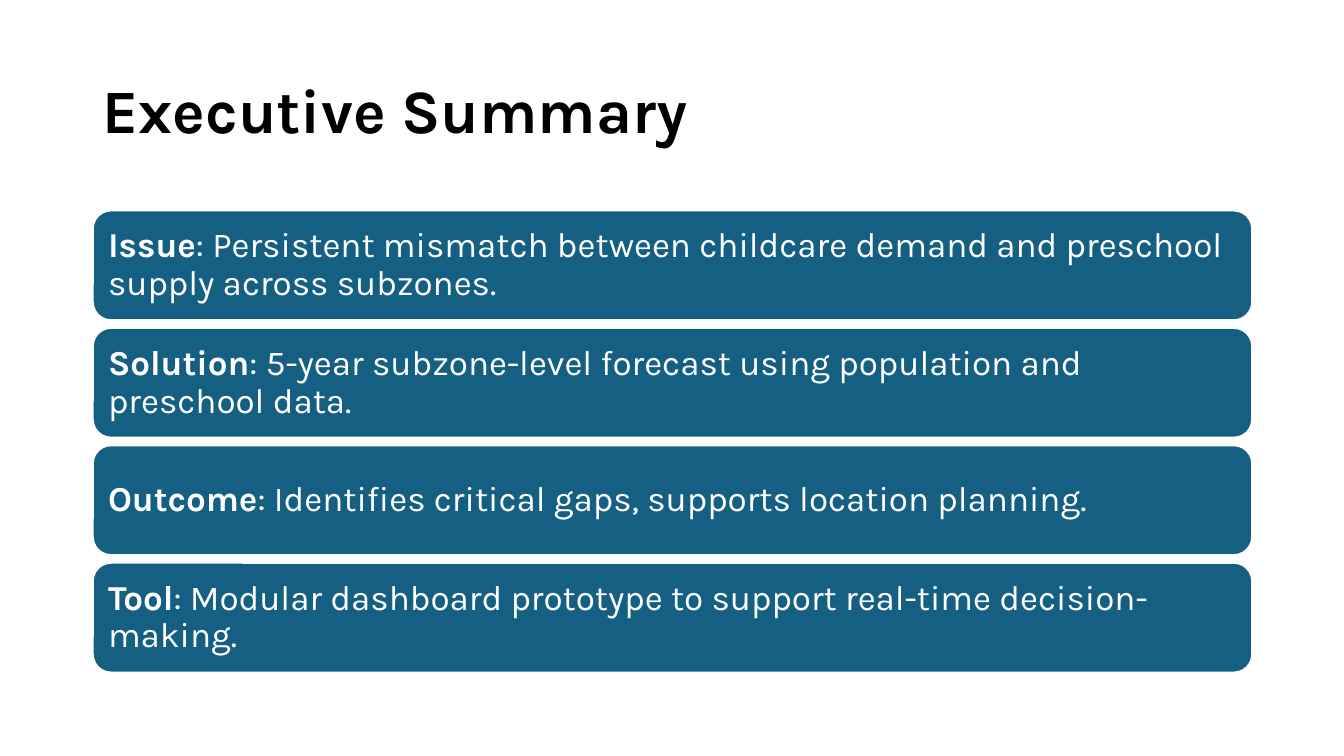
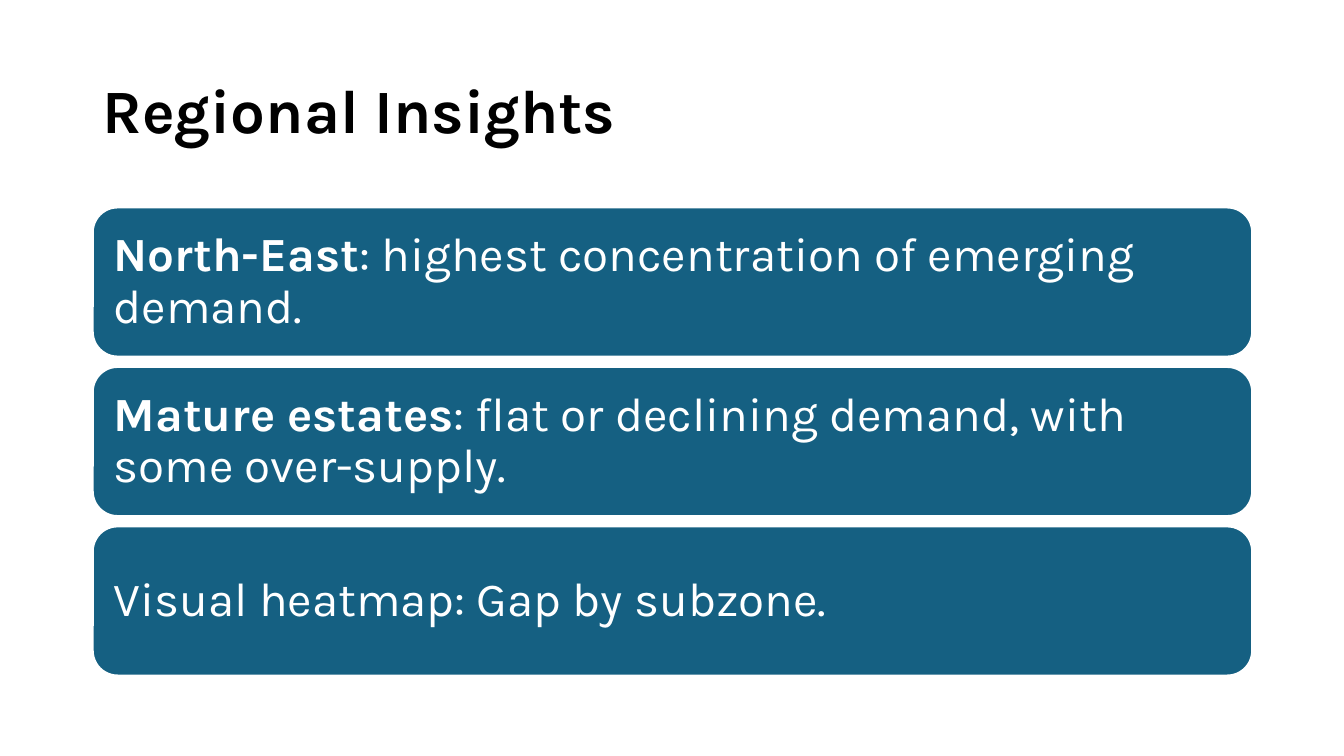
from pptx import Presentation
from pptx.dml.color import RGBColor
from pptx.enum.shapes import MSO_SHAPE
from pptx.enum.text import MSO_ANCHOR, PP_ALIGN
from pptx.util import Inches, Pt

BLACK = RGBColor(0x00, 0x00, 0x00)
WHITE = RGBColor(0xFF, 0xFF, 0xFF)
TEAL = RGBColor(0x15, 0x60, 0x82)

# Each card is (bold lead, rest of the text)
SLIDES = [
    {"title": "Executive Summary", "size": 25, "height": 1.09, "cards": [
        ("Issue", ": Persistent mismatch between childcare demand and preschool supply across subzones."),
        ("Solution", ": 5-year subzone-level forecast using population and preschool data."),
        ("Outcome", ": Identifies critical gaps, supports location planning."),
        ("Tool", ": Modular dashboard prototype to support real-time decision-making."),
    ]},
    {"title": "Regional Insights", "size": 34, "height": 1.48, "cards": [
        ("North-East", ": highest concentration of emerging demand."),
        ("Mature estates", ": flat or declining demand, with some over-supply."),
        ("", "Visual heatmap: Gap by subzone."),
    ]},
]

WIDE, HIGH = 13.33, 7.5
LEFT, SPAN = 0.92, 11.5
TITLE_TOP, TITLE_HIGH = 0.4, 1.45
MIDDLE = 4.38  # centre line of every stack of cards


def write(shape, runs, size, color, pads):
    """Fill a shape with one left-aligned paragraph of (text, bold) runs."""
    frame = shape.text_frame
    sides = ("margin_left", "margin_top", "margin_right", "margin_bottom")
    look = {"word_wrap": True, "vertical_anchor": MSO_ANCHOR.MIDDLE}
    look.update(zip(sides, map(Inches, pads)))
    for name, value in look.items():
        setattr(frame, name, value)
    para = frame.paragraphs[0]
    para.alignment = PP_ALIGN.LEFT
    para.line_spacing = 0.9
    for text, bold in runs:
        if not text:
            continue
        run = para.add_run()
        run.text = text
        for name, value in {"name": "Karla", "size": Pt(size), "bold": bold}.items():
            setattr(run.font, name, value)
        run.font.color.rgb = color


def add_title(slide, text):
    box = slide.shapes.add_textbox(*map(Inches, (LEFT, TITLE_TOP, SPAN, TITLE_HIGH)))
    write(box, [(text, True)], 44, BLACK, (0.1, 0.05, 0.1, 0.05))


def add_cards(slide, cards, size, height):
    """Stack cards about the centre line; gap and padding follow the text size."""
    gap, pad = size * 0.003, size * 0.004
    pitch = height + gap
    top = MIDDLE - (len(cards) * pitch - gap) / 2
    for row, (lead, rest) in enumerate(cards):
        place = map(Inches, (LEFT, top + row * pitch, SPAN, height))
        card = slide.shapes.add_shape(MSO_SHAPE.ROUNDED_RECTANGLE, *place)
        card.shadow.inherit = False
        card.fill.solid()
        card.fill.fore_color.rgb = TEAL
        card.line.color.rgb = WHITE
        card.line.width = Pt(1.5)
        write(card, [(lead, True), (rest, False)], size, WHITE, [pad] * 4)


def main():
    deck = Presentation()
    deck.slide_width, deck.slide_height = Inches(WIDE), Inches(HIGH)
    for page in SLIDES:
        slide = deck.slides.add_slide(deck.slide_layouts[6])
        add_title(slide, page["title"])
        add_cards(slide, page["cards"], page["size"], page["height"])
    deck.save("out.pptx")


if __name__ == "__main__":
    main()
